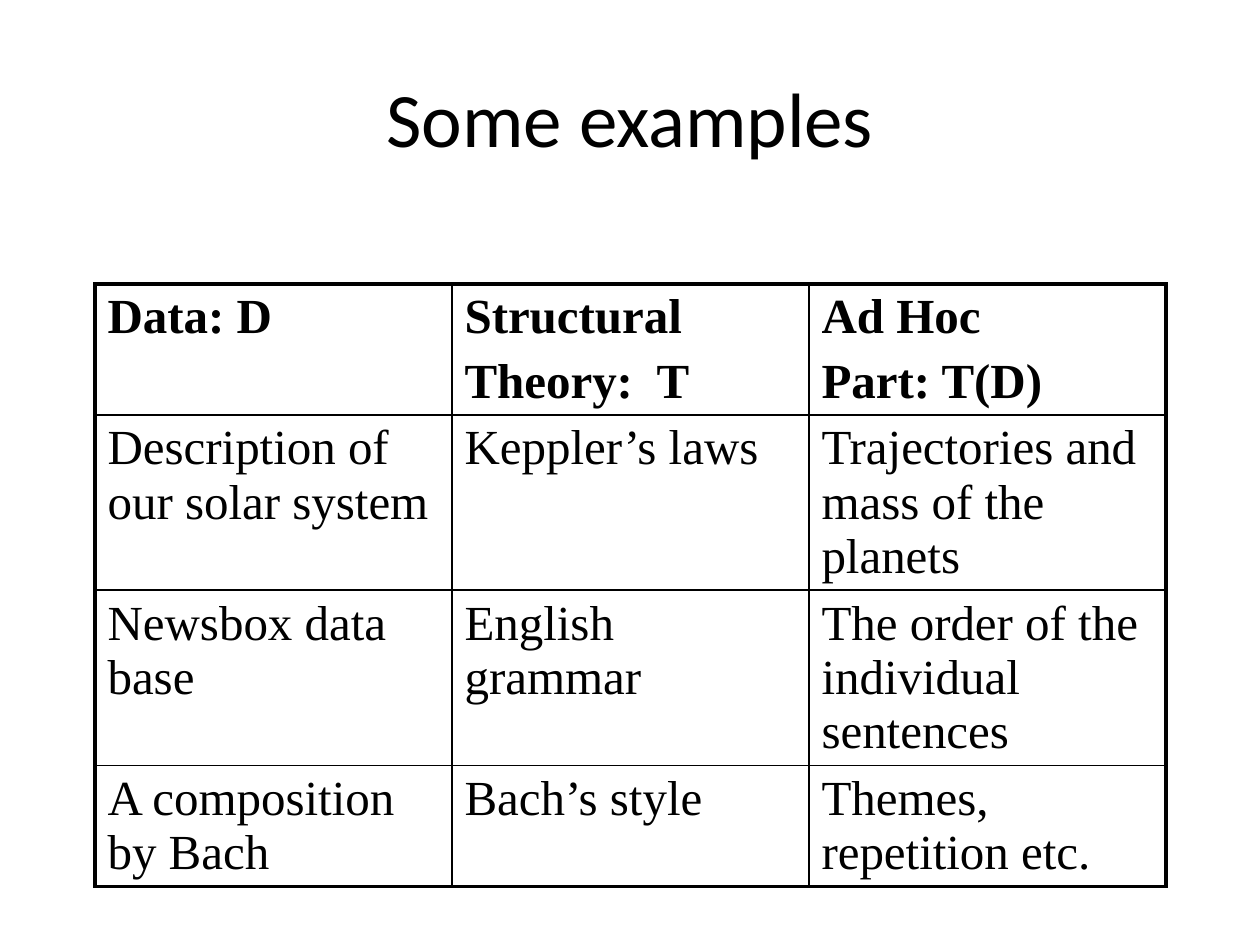
import pptx
import pptx.dml.color
import pptx.enum.text
import pptx.oxml
import pptx.oxml.ns
import pptx.util

PIXELS_PER_INCH = 126
BLACK = "000000"
THIN, THICK = 1, 2.25

ROWS = [
    ["Data: D", "Structural\nTheory:  T", "Ad Hoc\nPart: T(D)"],
    ["Description of our solar system", "Keppler’s laws",
     "Trajectories and mass of the planets"],
    ["Newsbox data base", "English grammar",
     "The order of the individual sentences"],
    ["A composition by Bach", "Bach’s style", "Themes, repetition etc."],
]


def px(length):
    return pptx.util.Emu(round(length * 914400 / PIXELS_PER_INCH))


def color(value):
    return pptx.dml.color.RGBColor.from_string(value)


class SlideBuilder:
    title_font = {"name": "Calibri", "size": pptx.util.Pt(44), "bold": False}
    header_font = {"name": "Times New Roman", "size": pptx.util.Pt(28), "bold": True}
    body_font = {**header_font, "bold": False}
    paragraph_gap = pptx.util.Pt(5.6)

    def __init__(self, presentation):
        self.slide = presentation.slides.add_slide(presentation.slide_layouts[5])

    def format_font(self, font, values):
        for name, value in values.items():
            setattr(font, name, value)
        font.color.rgb = color(BLACK)

    def title(self, text, left, top, width, height):
        shape = self.slide.shapes.title
        shape.left, shape.top, shape.width, shape.height = map(
            px, (left, top, width, height))
        frame = shape.text_frame
        frame.text = text
        frame.vertical_anchor = pptx.enum.text.MSO_ANCHOR.MIDDLE
        paragraph = frame.paragraphs[0]
        paragraph.alignment = pptx.enum.text.PP_ALIGN.CENTER
        self.format_font(paragraph.font, self.title_font)

    def border(self, cell, side, width):
        line = pptx.oxml.parse_xml(
            f'<a:{side} {pptx.oxml.ns.nsdecls("a")} w="{pptx.util.Pt(width)}">'
            f'<a:solidFill><a:srgbClr val="{BLACK}"/></a:solidFill></a:{side}>')
        cell._tc.get_or_add_tcPr().append(line)

    def cell(self, cell, text, font, widths):
        # Borders come before the fill in the cell properties
        for side, width in widths.items():
            self.border(cell, side, width)
        cell.fill.background()
        cell.text = text
        for index, paragraph in enumerate(cell.text_frame.paragraphs):
            if index:
                paragraph.space_before = self.paragraph_gap
            self.format_font(paragraph.font, font)

    def table(self, rows, left, top, width, row_height):
        last_row, last_column = len(rows) - 1, len(rows[0]) - 1
        shape = self.slide.shapes.add_table(
            len(rows), len(rows[0]), px(left), px(top), px(width),
            px(row_height * len(rows)))
        table = shape.table
        table.first_row = table.horz_banding = False
        for r, texts in enumerate(rows):
            for c, text in enumerate(texts):
                # Thick lines on the outside, thin lines between cells
                widths = {
                    "lnL": THICK if c == 0 else THIN,
                    "lnR": THICK if c == last_column else THIN,
                    "lnT": THICK if r == 0 else THIN,
                    "lnB": THICK if r == last_row else THIN,
                }
                font = self.body_font if r else self.header_font
                self.cell(table.cell(r, c), text, font, widths)


def main():
    presentation = pptx.Presentation()
    presentation.slide_width, presentation.slide_height = px(1260), px(945)
    builder = SlideBuilder(presentation)

    # Heading
    builder.title("Some examples", 63, 38, 1134, 158)

    # Examples table; rows grow with their text
    builder.table(ROWS, 95, 284, 1071, 113)

    presentation.save("out.pptx")


if __name__ == "__main__":
    main()
